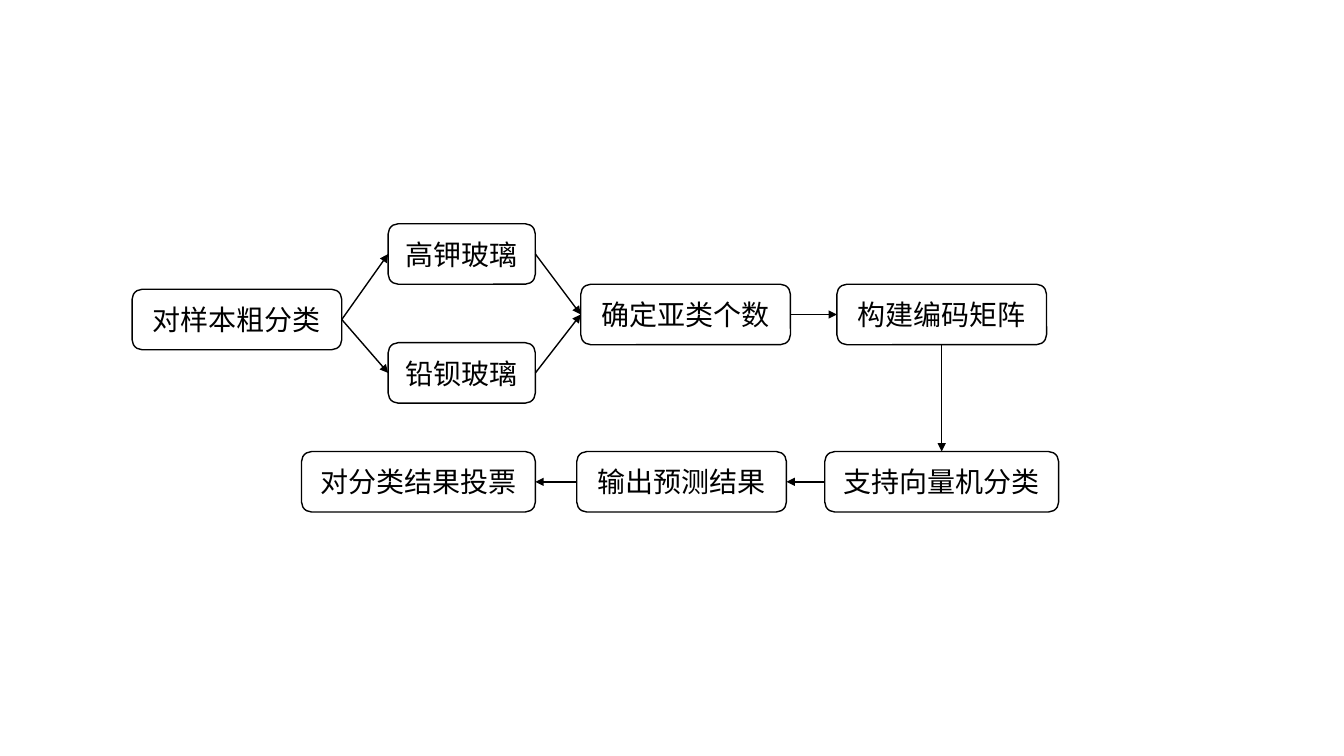
from pptx import Presentation
from pptx.dml.color import RGBColor
from pptx.enum.shapes import MSO_CONNECTOR, MSO_SHAPE
from pptx.enum.text import MSO_ANCHOR, PP_ALIGN
from pptx.oxml.ns import qn
from pptx.util import Inches, Pt
from lxml import etree

ROUND_RECT = MSO_SHAPE.ROUNDED_RECTANGLE
STRAIGHT = MSO_CONNECTOR.STRAIGHT
CENTER, MIDDLE = PP_ALIGN.CENTER, MSO_ANCHOR.MIDDLE
BLACK = RGBColor(0x00, 0x00, 0x00)
FONT = "Noto Sans CJK SC"
TEXT_FORMAT = {"size": Pt(20), "name": FONT}
TOP, LEFT, BOTTOM, RIGHT = range(4)

BOX_H = 0.6
WIDTH_BY_LENGTH = {4: 1.46, 6: 2.08, 7: 2.32}
COLS = {"sample": 2.35, "glass": 4.58, "subtype": 6.8, "coding": 9.34,
        "vote": 4.15, "output": 6.76}
ROWS = {"upper": 2.52, "main": 3.12, "start": 3.17, "lower": 3.7, "return": 4.78}

STEPS = {
    "sample": ("对样本粗分类", "sample", "start"),
    "potassium": ("高钾玻璃", "glass", "upper"),
    "barium": ("铅钡玻璃", "glass", "lower"),
    "subtype": ("确定亚类个数", "subtype", "main"),
    "coding": ("构建编码矩阵", "coding", "main"),
    "svm": ("支持向量机分类", "coding", "return"),
    "vote": ("对分类结果投票", "vote", "return"),
    "output": ("输出预测结果", "output", "return"),
}
ARROWS = [
    ("sample", RIGHT, "potassium", LEFT),
    ("sample", RIGHT, "barium", LEFT),
    ("potassium", RIGHT, "subtype", LEFT),
    ("barium", RIGHT, "subtype", LEFT),
    ("subtype", RIGHT, "coding", LEFT),
    ("coding", BOTTOM, "svm", TOP),
    ("svm", LEFT, "output", RIGHT),
    ("output", LEFT, "vote", RIGHT),
]


def set_line(shape):
    """Give a shape or connector the thin black line."""
    shape.line.color.rgb = BLACK
    shape.line.width = Pt(1)


def add_step(s, text, col, row):
    """Add a rounded step box centred on a column and a row."""
    w = WIDTH_BY_LENGTH[len(text)]
    sp = s.shapes.add_shape(ROUND_RECT, Inches(COLS[col] - w / 2),
                            Inches(ROWS[row] - BOX_H / 2), Inches(w), Inches(BOX_H))
    sp.shadow.inherit = False
    sp.fill.background()
    set_line(sp)
    tf = sp.text_frame
    tf.word_wrap = True
    tf.vertical_anchor = MIDDLE
    p = tf.paragraphs[0]
    p.alignment = CENTER
    r = p.add_run()
    r.text = text
    for key, value in TEXT_FORMAT.items():
        setattr(r.font, key, value)
    r.font.color.rgb = BLACK
    etree.SubElement(r.font._element, qn("a:ea"), typeface=FONT)
    return sp


def add_arrow(s, start, start_site, end, end_site):
    """Join two step boxes with a straight arrow."""
    cx = s.shapes.add_connector(STRAIGHT, 0, 0, 0, 0)
    cx.begin_connect(start, start_site)
    cx.end_connect(end, end_site)
    set_line(cx)
    etree.SubElement(cx.line._get_or_add_ln(), qn("a:tailEnd"), type="triangle")
    etree.SubElement(cx._element.spPr, qn("a:effectLst"))


def main():
    """Build the classification flow chart and save it."""
    prs = Presentation()
    prs.slide_width, prs.slide_height = Inches(13.33), Inches(7.5)
    s = prs.slides.add_slide(prs.slide_layouts[6])
    boxes = {name: add_step(s, *step) for name, step in STEPS.items()}
    for start, start_site, end, end_site in ARROWS:
        add_arrow(s, boxes[start], start_site, boxes[end], end_site)
    prs.save("out.pptx")


if __name__ == "__main__":
    main()
